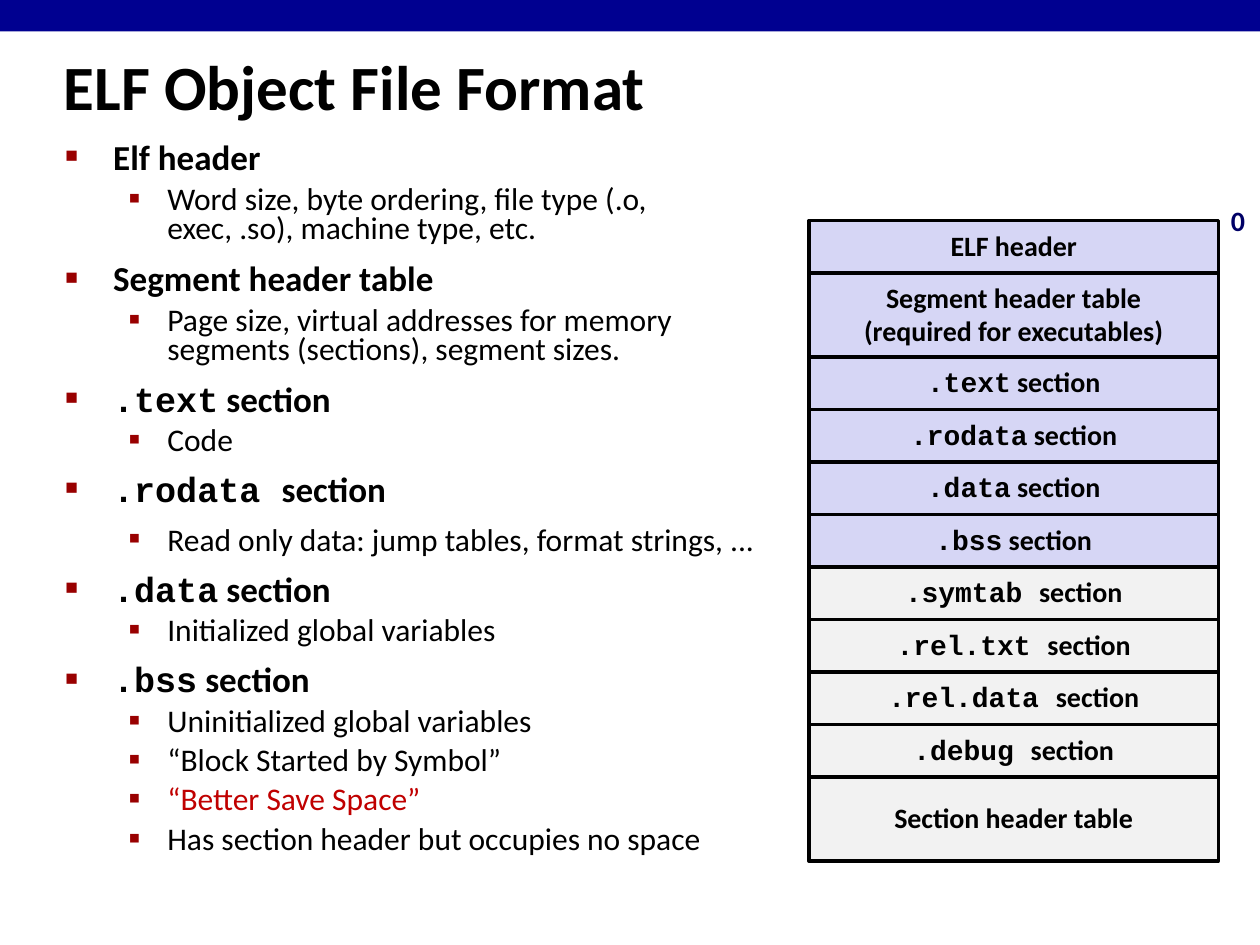
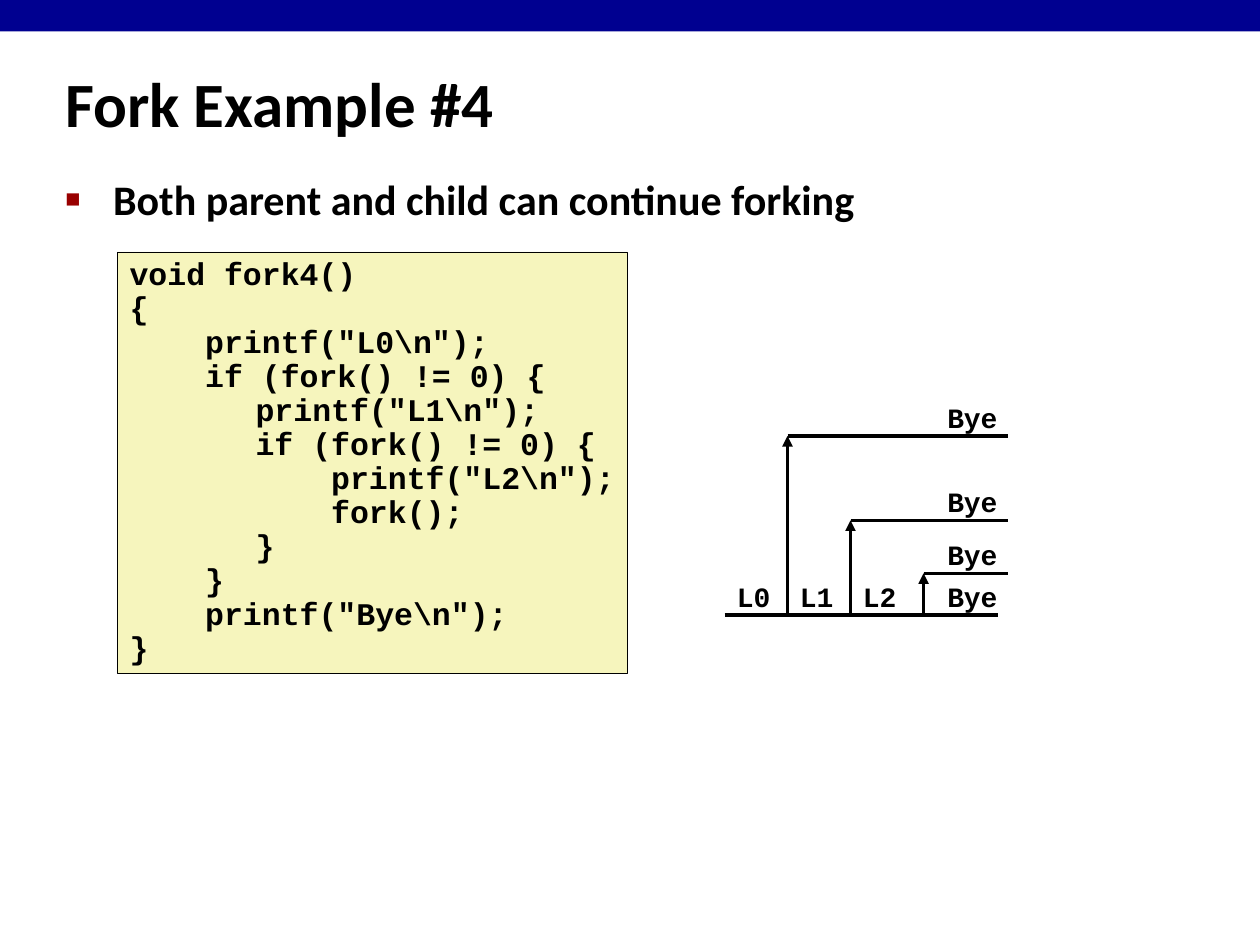
from dataclasses import dataclass
from itertools import accumulate, pairwise

from lxml.etree import SubElement
from pptx import Presentation
from pptx.dml.color import RGBColor
from pptx.enum.shapes import MSO_CONNECTOR, MSO_SHAPE
from pptx.enum.text import MSO_ANCHOR, MSO_AUTO_SIZE, PP_ALIGN
from pptx.oxml.ns import qn
from pptx.util import Inches, Pt


@dataclass(frozen=True)
class Theme:
    prose: str = "Calibri"
    mono: str = "Courier New"
    black: str = "000000"
    band: str = "000090"
    bullet: str = "990000"
    accent: str = "C00000"
    address: str = "000066"
    loaded: str = "D6D6F5"
    unloaded: str = "F2F2F2"
    code: str = "F6F5BD"
    title_size: float = 36
    lead_size: float = 24
    head_size: float = 20
    item_size: float = 18
    label_size: float = 16
    line_width: float = 2


THEME = Theme()

# A span tuple holds (code part, prose part).
ELF_TITLE = "ELF Object File Format"
SECTIONS = [
    (("", "Elf header"),
     ["Word size, byte ordering, file type (.o, exec, .so), machine type, etc."]),
    (("", "Segment header table"),
     ["Page size, virtual addresses for memory segments (sections), segment sizes."]),
    ((".text", " section"), ["Code"]),
    ((".rodata ", "section"), ["Read only data: jump tables, format strings, ..."]),
    ((".data", " section"), ["Initialized global variables"]),
    ((".bss", " section"),
     ["Uninitialized global variables", "“Block Started by Symbol”",
      "“Better Save Space”", "Has section header but occupies no space"]),
]
ACCENTED_ITEM = "“Better Save Space”"
LOOSE_ITEM = "Read only data: jump tables, format strings, ..."

# Height in twelfths of an inch, fill, lines of text.
FILE_LAYOUT = [
    (5, THEME.loaded, [("", "ELF header")]),
    (8, THEME.loaded, [("", "Segment header table"), ("", "(required for executables)")]),
    (5, THEME.loaded, [(".text", " section")]),
    (5, THEME.loaded, [(".rodata", " section")]),
    (5, THEME.loaded, [(".data", " section")]),
    (5, THEME.loaded, [(".bss", " section")]),
    (5, THEME.unloaded, [(".symtab ", "section")]),
    (5, THEME.unloaded, [(".rel.txt ", "section")]),
    (5, THEME.unloaded, [(".rel.data ", "section")]),
    (5, THEME.unloaded, [(".debug ", "section")]),
    (8, THEME.unloaded, [("", "Section header table")]),
]
LAYOUT_LEFT, LAYOUT_TOP, LAYOUT_WIDTH = 6.42, 1.75, 3.25

FORK_TITLE = "Fork Example #4"
FORK_LEAD = "Both parent and child can continue forking"
FORK_CODE = r"""void fork4()
{
    printf("L0\n");
    if (fork() != 0) {
	printf("L1\n");
	if (fork() != 0) {
	    printf("L2\n");
	    fork();
	}
    }
    printf("Bye\n");
}"""
PARENT_START, PARENT_END, PARENT_Y = 5.75, 7.92, 4.88
CHILD_END = 8
FORKS = [(6.25, 3.46), (6.75, 4.13), (7.33, 4.55)]  # fork x, child y
PARENT_PRINTS = ["L0", "L1", "L2"]
FAREWELL, FAREWELL_LEFT = "Bye", 7.42
LABEL_RISE = 0.33
LABEL_PADDING, LETTER_WIDTH = 0.21, 0.135


def rgb(value):
    return RGBColor.from_string(value)


def add_span(para, text, size, bold=True, font=THEME.prose, color=THEME.black):
    span = para.add_run()
    span.text = text
    span.font.name = font
    span.font.size = Pt(size)
    span.font.bold = bold
    span.font.color.rgb = rgb(color)


def add_code_and_prose(para, spans, size):
    for text, font in zip(spans, (THEME.mono, THEME.prose)):
        if text:
            add_span(para, text, size, font=font)


def next_paragraph(frame):
    """Return the unused first paragraph, or a new one."""
    first = frame.paragraphs[0]
    return frame.add_paragraph() if first.runs else first


def add_bullet(para, char, percent, margin, hang):
    props = para._p.get_or_add_pPr()
    props.set("marL", str(Inches(margin)))
    props.set("indent", str(-Inches(hang)))
    color = SubElement(props, qn("a:buClr"))
    SubElement(color, qn("a:srgbClr"), val=THEME.bullet)
    SubElement(props, qn("a:buSzPct"), val=str(percent * 1000))
    SubElement(props, qn("a:buFont"), typeface="Arial")
    SubElement(props, qn("a:buChar"), char=char)


def bullet_paragraph(frame, level, line_spacing, space_before):
    is_first = not frame.paragraphs[0].runs
    para = next_paragraph(frame)
    if level == 0:
        add_bullet(para, "■", 60, 0.38, 0.38)
    else:
        para.level = level
        add_bullet(para, "▪", 110, 0.81, 0.31)
    para.line_spacing = line_spacing
    para.space_before = Pt(0 if is_first else space_before)
    return para


def add_text_box(page, left, top, width, height, wrap=True):
    box = page.shapes.add_textbox(*map(Inches, (left, top, width, height)))
    frame = box.text_frame
    frame.word_wrap = wrap
    frame.auto_size = MSO_AUTO_SIZE.NONE if wrap else MSO_AUTO_SIZE.SHAPE_TO_FIT_TEXT
    return frame


def add_box(page, left, top, width, height, fill, line_width=None):
    box = page.shapes.add_shape(
        MSO_SHAPE.RECTANGLE, *map(Inches, (left, top, width, height)))
    box.shadow.inherit = False
    box.fill.solid()
    box.fill.fore_color.rgb = rgb(fill)
    if line_width is None:
        box.line.fill.background()
    else:
        box.line.color.rgb = rgb(THEME.black)
        box.line.width = Pt(line_width)
    box.text_frame.word_wrap = False
    return box.text_frame


def add_line(page, start, end, arrow=False):
    line = page.shapes.add_connector(
        MSO_CONNECTOR.STRAIGHT, *map(Inches, (*start, *end)))
    line.line.color.rgb = rgb(THEME.black)
    line.line.width = Pt(THEME.line_width)
    if arrow:
        SubElement(line.line._get_or_add_ln(), qn("a:tailEnd"), type="triangle")
    SubElement(line._element.spPr, qn("a:effectLst"))


def add_page(deck, title, title_place):
    page = deck.slides.add_slide(deck.slide_layouts[6])
    add_box(page, 0, 0, 10, 0.25, THEME.band)
    frame = add_text_box(page, *title_place)
    frame.vertical_anchor = MSO_ANCHOR.MIDDLE
    add_span(frame.paragraphs[0], title, THEME.title_size)
    return page


def add_section_list(page):
    frame = add_text_box(page, 0.42, 1.11, 5.85, 5.89)
    for heading, items in SECTIONS:
        para = bullet_paragraph(frame, 0, 0.7 if heading[0] else 0.73, 12.5)
        add_code_and_prose(para, heading, THEME.head_size)
        for item in items:
            spacing = (0.7, 12.5) if item == LOOSE_ITEM else (0.78, 5.6)
            para = bullet_paragraph(frame, 1, *spacing)
            color = THEME.accent if item == ACCENTED_ITEM else THEME.black
            add_span(para, item, THEME.item_size, bold=False, color=color)


def add_file_layout(page):
    offsets = accumulate((height for height, _, _ in FILE_LAYOUT), initial=0)
    for offset, (height, fill, lines) in zip(offsets, FILE_LAYOUT):
        frame = add_box(page, LAYOUT_LEFT, LAYOUT_TOP + offset / 12, LAYOUT_WIDTH,
                        height / 12, fill, THEME.line_width)
        frame.vertical_anchor = MSO_ANCHOR.MIDDLE
        for spans in lines:
            para = next_paragraph(frame)
            para.alignment = PP_ALIGN.CENTER
            para.line_spacing = 0.94 if spans[0] else 0.98
            add_code_and_prose(para, spans, THEME.label_size)
    frame = add_text_box(page, LAYOUT_LEFT + LAYOUT_WIDTH, 1.58, 0.31, 0.36, wrap=False)
    para = frame.paragraphs[0]
    para.alignment = PP_ALIGN.CENTER
    para.line_spacing = 0.98
    add_span(para, "0", THEME.label_size, color=THEME.address)


def add_code(page):
    frame = add_box(page, 0.93, 2, 4.05, 3.34, THEME.code, 0.25)
    frame.auto_size = MSO_AUTO_SIZE.SHAPE_TO_FIT_TEXT
    frame.vertical_anchor = MSO_ANCHOR.TOP
    for code_line in FORK_CODE.splitlines():
        para = next_paragraph(frame)
        tabs = SubElement(para._p.get_or_add_pPr(), qn("a:tabLst"))
        SubElement(tabs, qn("a:tab"), pos=str(Inches(1)), algn="l")
        para.alignment = PP_ALIGN.LEFT
        para.line_spacing = 0.9
        add_span(para, code_line, THEME.item_size, font=THEME.mono)


def add_print_label(page, text, left, line_y):
    """Place printed output just above a process line."""
    width = LABEL_PADDING + LETTER_WIDTH * len(text)
    frame = add_text_box(page, left, line_y - LABEL_RISE, width, 0.37, wrap=False)
    add_span(frame.paragraphs[0], text, THEME.label_size, font=THEME.mono)


def add_process_graph(page):
    stops = [PARENT_START, *(x for x, _ in FORKS), PARENT_END]
    for start, end in pairwise(stops):
        add_line(page, (start, PARENT_Y), (end, PARENT_Y))
    for text, left in zip(PARENT_PRINTS, stops):
        add_print_label(page, text, left, PARENT_Y)
    for x, child_y in FORKS:
        add_line(page, (x, PARENT_Y), (x, child_y), arrow=True)
        add_line(page, (x, child_y), (CHILD_END, child_y))
    for line_y in (*(y for _, y in FORKS), PARENT_Y):
        add_print_label(page, FAREWELL, FAREWELL_LEFT, line_y)


def main():
    deck = Presentation()
    deck.slide_width, deck.slide_height = Inches(10), Inches(7.5)

    page = add_page(deck, ELF_TITLE, (0.41, 0.25, 9.53, 0.86))
    add_section_list(page)
    add_file_layout(page)

    page = add_page(deck, FORK_TITLE, (0.42, 0.5, 5.57, 0.63))
    lead = bullet_paragraph(add_text_box(page, 0.42, 1.33, 8.64, 0.84), 0, 1.0, 6)
    add_span(lead, FORK_LEAD, THEME.lead_size)
    add_code(page)
    add_process_graph(page)

    deck.save("out.pptx")


if __name__ == "__main__":
    main()
